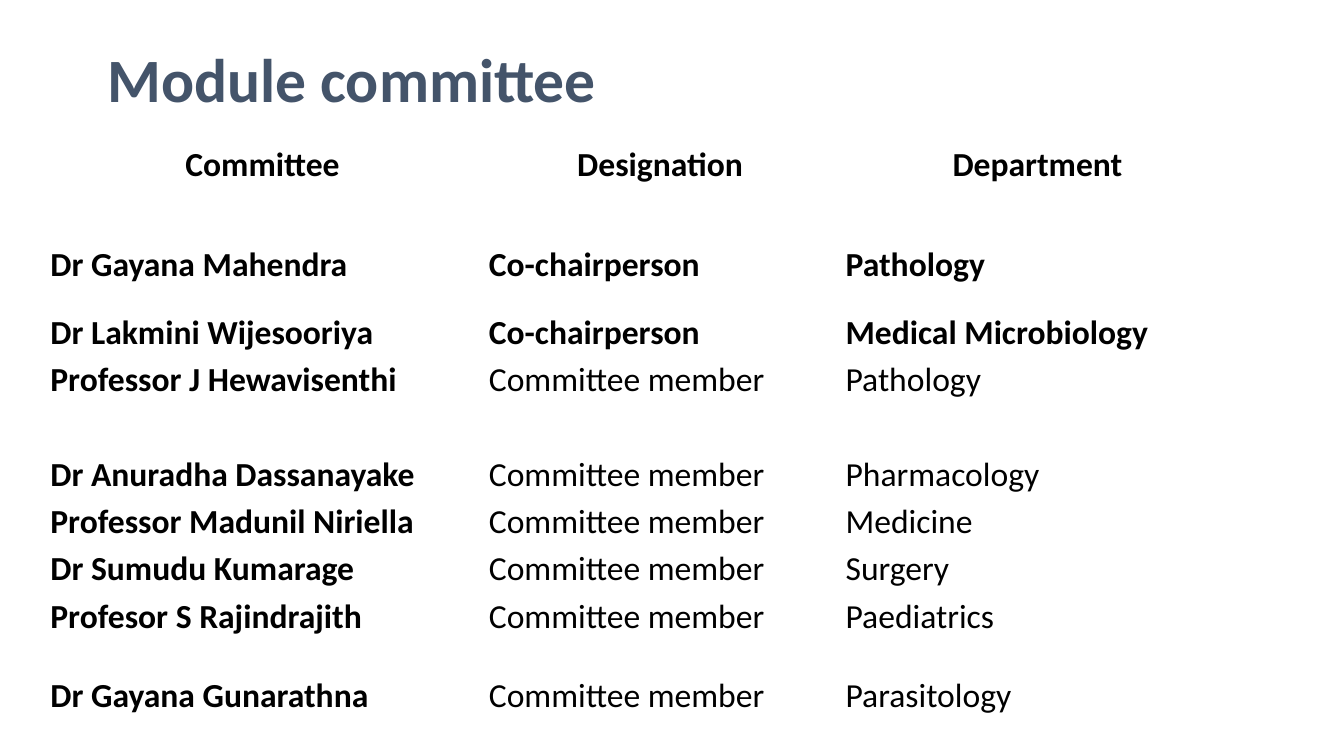
from dataclasses import dataclass

from pptx import Presentation
from pptx import util as u
from pptx.dml.color import RGBColor
from pptx.enum import text

FONT = "Calibri"
BLACK, WHITE, SLATE = "000000", "FFFFFF", "44546A"
HEADINGS = ("Committee", "Designation", "Department")
COLUMN_WIDTHS = (11.05, 8.99, 10.03)
HEADER_HEIGHT = 2.54
LINE_HEIGHT = 1.19


@dataclass(frozen=True)
class Member:
    name: str
    department: str
    designation: str = "Committee member"
    height: float = LINE_HEIGHT

    @property
    def is_chair(self) -> bool:
        return self.designation == "Co-chairperson"


MEMBERS = (
    Member("Dr Gayana Mahendra", "Pathology", "Co-chairperson", height=1.7),
    Member("Dr Lakmini Wijesooriya", "Medical Microbiology", "Co-chairperson"),
    Member("Professor J Hewavisenthi", "Pathology", height=2.39),
    Member("Dr Anuradha Dassanayake", "Pharmacology"),
    Member("Professor Madunil Niriella", "Medicine"),
    Member("Dr Sumudu Kumarage", "Surgery"),
    Member("Profesor S Rajindrajith", "Paediatrics", height=2.01),
    Member("Dr Gayana Gunarathna", "Parasitology"),
)


def color(value: str) -> RGBColor:
    return RGBColor.from_string(value)


def write(frame, content: str, *, size: float = 24, bold: bool = False,
          fill: str = BLACK, align=text.PP_ALIGN.LEFT, spacing: float = 1.15) -> None:
    paragraph = frame.paragraphs[0]
    paragraph.alignment = align
    paragraph.line_spacing = spacing
    run = paragraph.add_run()
    run.text = content
    run.font.name = FONT
    run.font.size = u.Pt(size)
    run.font.bold = bold
    run.font.color.rgb = color(fill)


def fill_cell(cell, content: str, *, bold: bool, align=text.PP_ALIGN.LEFT) -> None:
    cell.fill.solid()
    cell.fill.fore_color.rgb = color(WHITE)
    cell.margin_left = cell.margin_right = u.Cm(0.18)
    cell.margin_top = cell.margin_bottom = 0
    write(cell.text_frame, content, bold=bold, align=align)


def add_title(slide, content: str) -> None:
    box = slide.shapes.add_textbox(u.Cm(2.46), u.Cm(1.02), u.Cm(29.08), u.Cm(2.13))
    frame = box.text_frame
    frame.word_wrap = True
    frame.vertical_anchor = text.MSO_ANCHOR.MIDDLE
    write(frame, content, size=44, bold=True, fill=SLATE, spacing=0.9)


def add_committee_table(slide) -> None:
    heights = (HEADER_HEIGHT, *(member.height for member in MEMBERS))
    table = slide.shapes.add_table(
        len(heights), len(COLUMN_WIDTHS), u.Cm(1.09), u.Cm(3.48),
        u.Cm(sum(COLUMN_WIDTHS)), u.Cm(sum(heights))).table
    table.horz_banding = False
    for column, width in zip(table.columns, COLUMN_WIDTHS):
        column.width = u.Cm(width)
    for row, height in zip(table.rows, heights):
        row.height = u.Cm(height)

    for cell, heading in zip(table.rows[0].cells, HEADINGS):
        fill_cell(cell, heading, bold=True, align=text.PP_ALIGN.CENTER)
    for index, member in enumerate(MEMBERS, start=1):
        name, designation, department = table.rows[index].cells
        fill_cell(name, member.name, bold=True)
        fill_cell(designation, member.designation, bold=member.is_chair)
        fill_cell(department, member.department, bold=member.is_chair)


def main() -> None:
    presentation = Presentation()
    presentation.slide_width = u.Cm(33.87)
    presentation.slide_height = u.Cm(19.05)
    slide = presentation.slides.add_slide(presentation.slide_layouts[6])
    add_title(slide, "Module committee")
    add_committee_table(slide)
    presentation.save("out.pptx")


if __name__ == "__main__":
    main()
